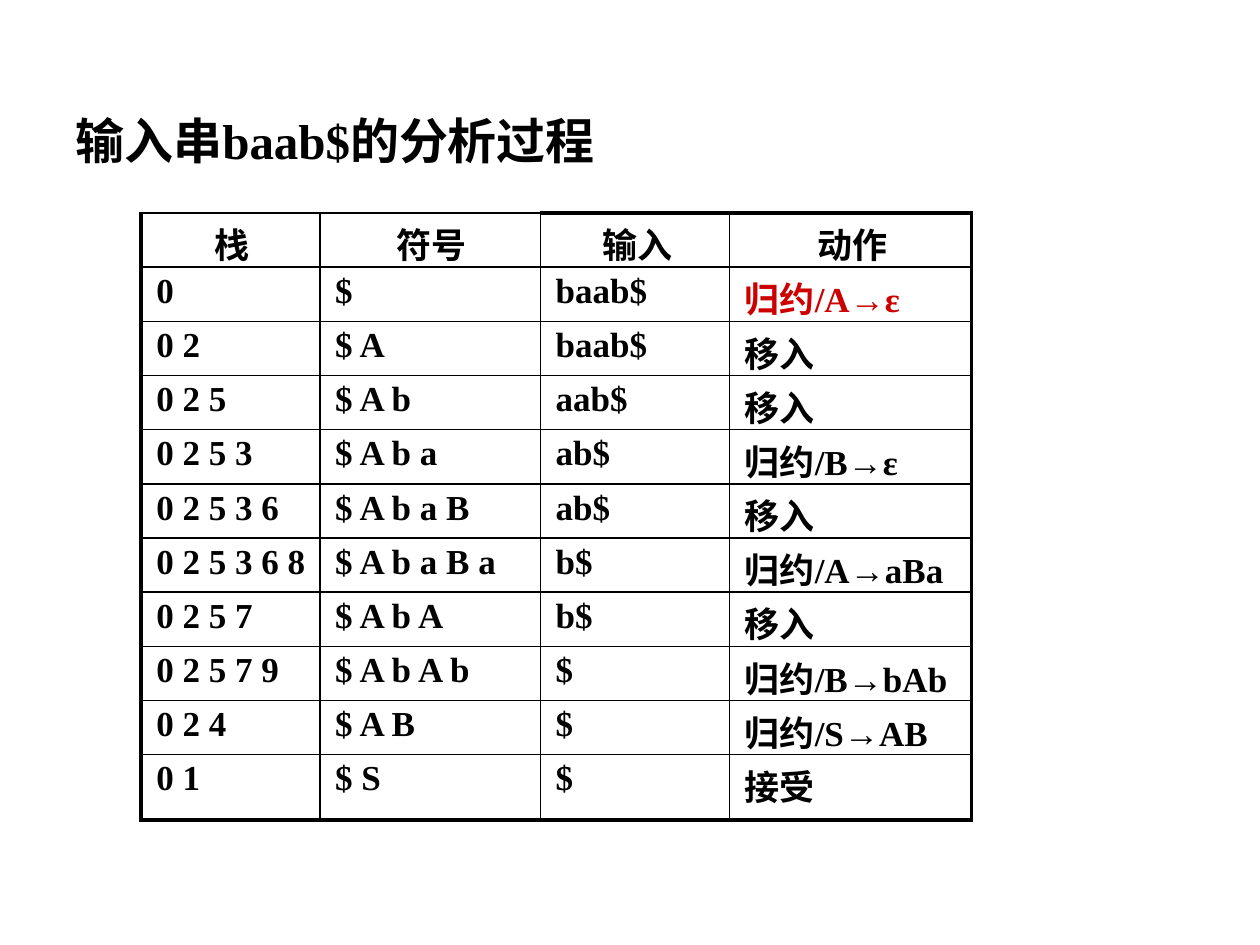
import itertools
from dataclasses import dataclass

import lxml.etree
import pptx
import pptx.dml.color
import pptx.enum.text
import pptx.oxml.ns
import pptx.util

Inches = pptx.util.Inches
Pt = pptx.util.Pt
CENTER = pptx.enum.text.PP_ALIGN.CENTER


@dataclass(frozen=True)
class Theme:
    text: str = "000000"
    highlight: str = "CC0000"
    chinese_font: str = "Noto Sans CJK SC"
    latin_font: str = "Times New Roman"
    arrow_font: str = "Arial"
    title_size: float = 28
    table_size: float = 20
    thin: float = 1
    thick: float = 2.25


HEADERS = ["栈", "符号", "输入", "动作"]
STEPS = [
    ["0", "$", "baab$", "归约/A→ε"],
    ["0 2", "$ A", "baab$", "移入"],
    ["0 2 5", "$ A b", "aab$", "移入"],
    ["0 2 5 3", "$ A b a", "ab$", "归约/B→ε"],
    ["0 2 5 3 6", "$ A b a B", "ab$", "移入"],
    ["0 2 5 3 6 8", "$ A b a B a", "b$", "归约/A→aBa"],
    ["0 2 5 7", "$ A b A", "b$", "移入"],
    ["0 2 5 7 9", "$ A b A b", "$", "归约/B→bAb"],
    ["0 2 4", "$ A B", "$", "归约/S→AB"],
    ["0 1", "$ S", "$", "接受"],
]
COLUMN_WIDTHS = [1.42, 1.75, 1.5, 1.92]
ROW_HEIGHTS = [0.43] * len(STEPS) + [0.52]
HIGHLIGHTED_CELL = (1, 3)
HEADER_INDENTS = [0.03, 0.61, 0.49, 0.03]
CENTERED_HEADERS = (0, 3)
BODY_INDENT = 0.12


def add_xml(parent, tag, **attributes):
    return lxml.etree.SubElement(parent, pptx.oxml.ns.qn(tag), **attributes)


class SlideBuilder:
    def __init__(self, slide, theme):
        self.slide = slide
        self.theme = theme

    def font_for(self, character):
        if "一" <= character <= "龥":
            return self.theme.chinese_font
        return self.theme.arrow_font if character == "→" else self.theme.latin_font

    def fill_paragraph(self, paragraph, text, size, color, indent, space_before,
                       alignment=None):
        """Fill a bold paragraph, with one run per script."""
        paragraph.alignment = alignment
        paragraph.space_before = Pt(space_before)
        paragraph.font.size = Pt(size)
        paragraph.font.bold = True
        paragraph.font.color.rgb = pptx.dml.color.RGBColor.from_string(color)
        properties = paragraph._p.get_or_add_pPr()
        properties.set("marL", str(Inches(indent)))
        properties.set("indent", "0")
        for font_name, characters in itertools.groupby(text, self.font_for):
            run = paragraph.add_run()
            run.text = "".join(characters)
            run.font.name = font_name
            add_xml(run._r.get_or_add_rPr(), "a:ea", typeface=font_name)

    def title(self, text, left, top, width, height):
        box = self.slide.shapes.add_textbox(
            Inches(left), Inches(top), Inches(width), Inches(height))
        frame = box.text_frame
        frame.word_wrap = True
        frame.auto_size = pptx.enum.text.MSO_AUTO_SIZE.SHAPE_TO_FIT_TEXT
        frame.margin_left = frame.margin_right = frame.margin_bottom = 0
        frame.margin_top = Inches(0.01)
        self.fill_paragraph(frame.paragraphs[0], text, self.theme.title_size,
                            self.theme.text, 0.01, 1)

    def borders(self, cell, thick_sides):
        properties = cell._tc.get_or_add_tcPr()
        for position, side in enumerate("LRTB"):
            width = self.theme.thick if side in thick_sides else self.theme.thin
            line = add_xml(properties, f"a:ln{side}", w=str(Pt(width)))
            add_xml(add_xml(line, "a:solidFill"), "a:srgbClr", val=self.theme.text)
            properties.insert(position, line)

    def outer_sides(self, row, column):
        """Sides of the heavy frame, which skips the top of the first two columns."""
        sides = {
            "L": column == 0,
            "R": column == len(COLUMN_WIDTHS) - 1,
            "T": row == 0 and column >= 2,
            "B": row == len(ROW_HEIGHTS) - 1,
        }
        return [side for side, heavy in sides.items() if heavy]

    def table(self, rows, left, top):
        table = self.slide.shapes.add_table(
            len(rows), len(COLUMN_WIDTHS), Inches(left), Inches(top),
            Inches(sum(COLUMN_WIDTHS)), Inches(sum(ROW_HEIGHTS))).table
        table.first_row = table.horz_banding = False
        for column, width in zip(table.columns, COLUMN_WIDTHS):
            column.width = Inches(width)
        for row, height in zip(table.rows, ROW_HEIGHTS):
            row.height = Inches(height)
        for row, texts in enumerate(rows):
            for column, text in enumerate(texts):
                cell = table.cell(row, column)
                cell.margin_left = cell.margin_right = cell.margin_bottom = 0
                cell.margin_top = Inches(0.04)
                cell.fill.background()
                self.borders(cell, self.outer_sides(row, column))
                is_header = row == 0
                highlighted = (row, column) == HIGHLIGHTED_CELL
                self.fill_paragraph(
                    cell.text_frame.paragraphs[0], text, self.theme.table_size,
                    self.theme.highlight if highlighted else self.theme.text,
                    HEADER_INDENTS[column] if is_header else BODY_INDENT, 3,
                    CENTER if is_header and column in CENTERED_HEADERS else None)


def main():
    presentation = pptx.Presentation()
    presentation.slide_width = Inches(10)
    presentation.slide_height = Inches(7.5)
    slide = presentation.slides.add_slide(presentation.slide_layouts[6])
    builder = SlideBuilder(slide, Theme())
    builder.title("输入串baab$的分析过程", 0.59, 0.87, 4.17, 0.5)
    builder.table([HEADERS] + STEPS, 1.12, 1.69)
    presentation.save("out.pptx")


if __name__ == "__main__":
    main()
